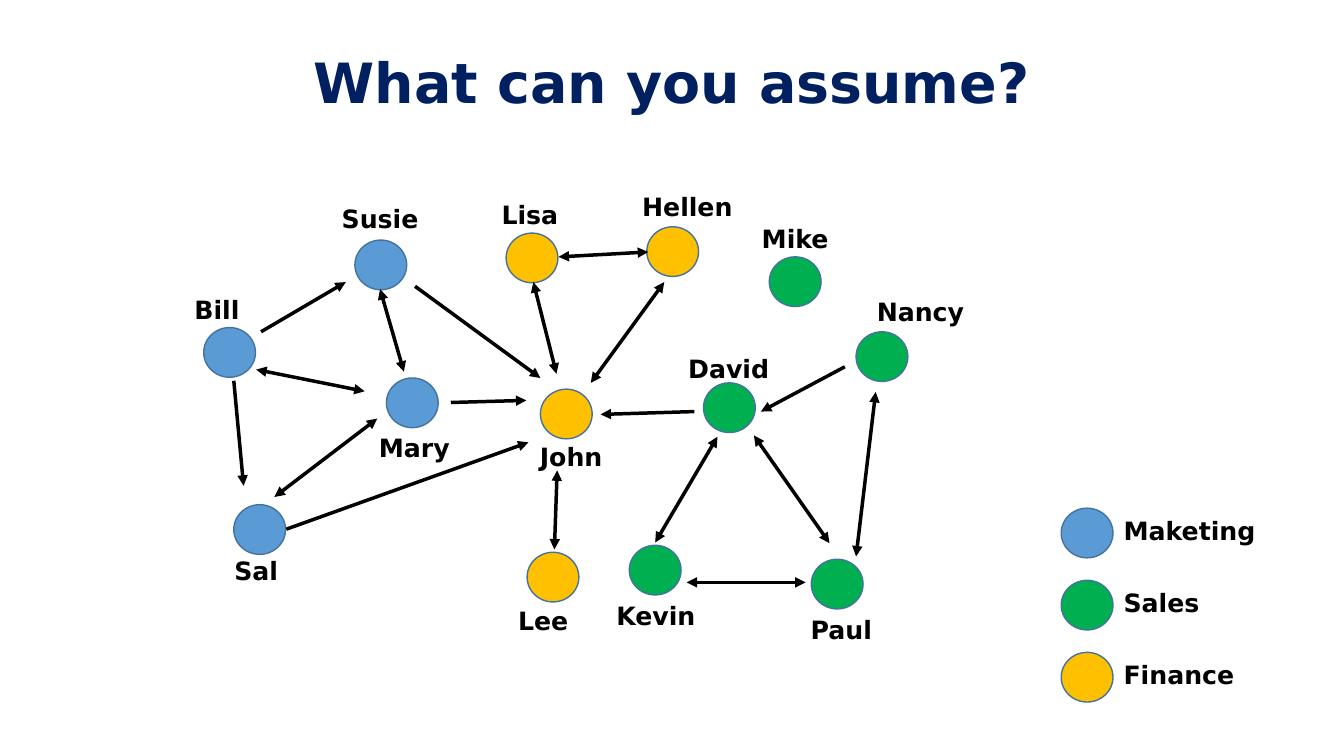
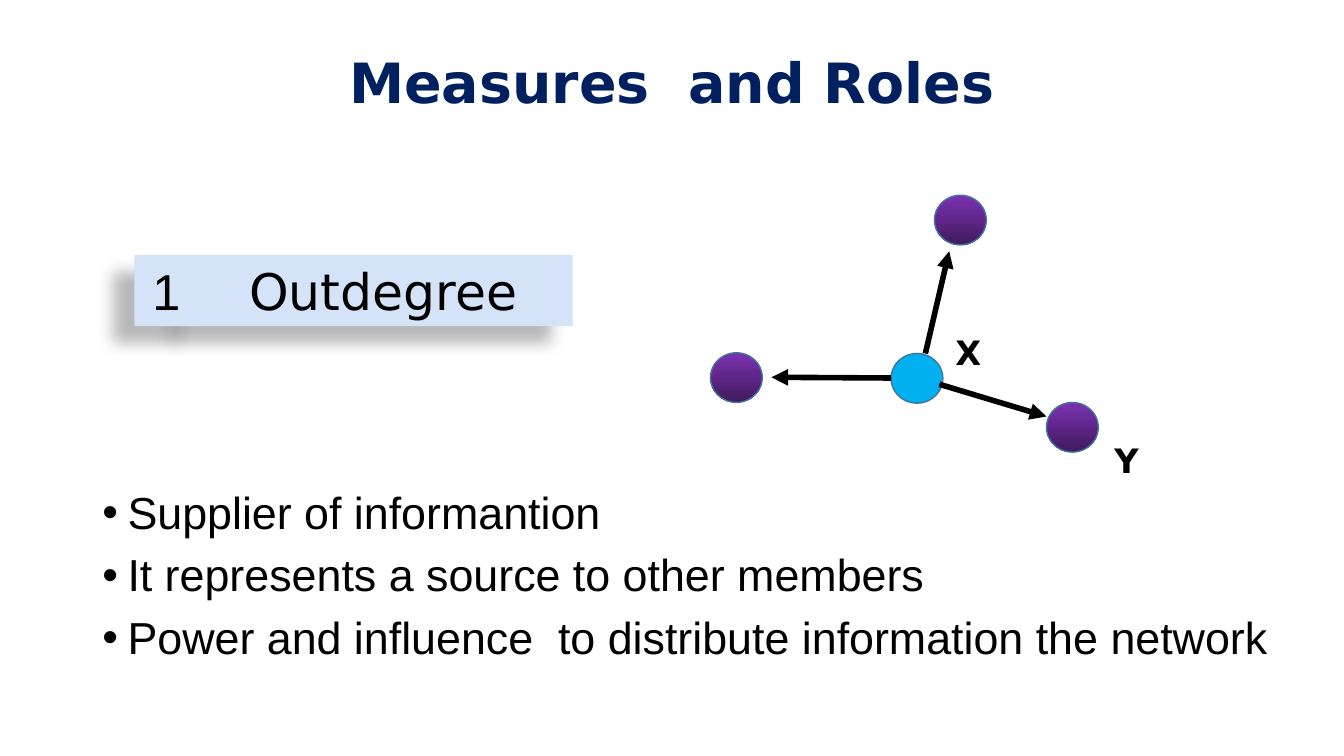
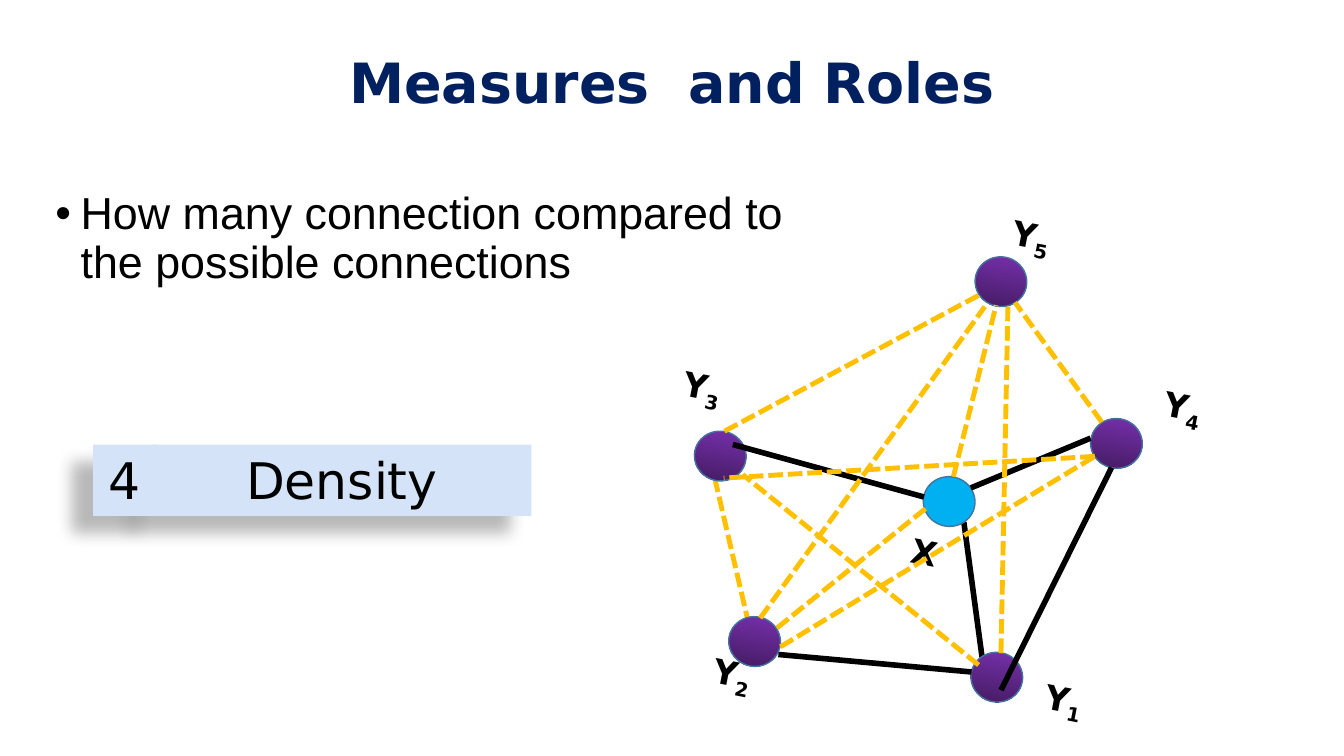
from lxml import etree
from pptx import Presentation
from pptx.dml.color import RGBColor
from pptx.enum.dml import MSO_LINE
from pptx.enum.shapes import MSO_CONNECTOR, MSO_SHAPE
from pptx.enum.text import MSO_ANCHOR, PP_ALIGN
from pptx.oxml.ns import qn
from pptx.util import Pt

OVAL, RECTANGLE = MSO_SHAPE.OVAL, MSO_SHAPE.RECTANGLE
STRAIGHT = MSO_CONNECTOR.STRAIGHT
DASHED = MSO_LINE.SQUARE_DOT
CENTER, LEFT = PP_ALIGN.CENTER, PP_ALIGN.LEFT
TOP = MSO_ANCHOR.TOP

NAVY = RGBColor(0x00, 0x20, 0x60)
BLACK = RGBColor(0x00, 0x00, 0x00)
BLUE = RGBColor(0x5B, 0x9B, 0xD5)
GREEN = RGBColor(0x00, 0xB0, 0x50)
GOLD = RGBColor(0xFF, 0xC0, 0x00)
CYAN = RGBColor(0x00, 0xB0, 0xF0)
PALE_BLUE = RGBColor(0xD4, 0xE3, 0xF7)
OUTLINE = RGBColor(0x43, 0x73, 0x9E)
PURPLE = (RGBColor(0x7B, 0x32, 0xB2), RGBColor(0x40, 0x1A, 0x5D))

SANS, ARIAL = "DejaVu Sans", "Arial"
TITLE_FONT = {"name": SANS, "size": Pt(39.6), "bold": True}
NAME_FONT = {"name": SANS, "size": Pt(18), "bold": True}
NODE_FONT = {"name": SANS, "size": Pt(24), "bold": True}
BAND_FONT = {"name": SANS, "size": Pt(36)}
BODY_FONT = {"name": ARIAL, "size": Pt(32)}

NODE_WIDTH, NODE_HEIGHT = 37, 35.5
NAME_SIZE = (108, 29)
NODE_LABEL_SIZE = (60.5, 36)
TILT = 11

# name: (colour, node position, label position)
PEOPLE = {
    "Susie": (BLUE, (253.5, 171.5), (217.5, 142)),
    "Mary": (BLUE, (276, 270), (242, 305.5)),
    "Bill": (BLUE, (145.5, 234), (101, 206.5)),
    "Sal": (BLUE, (167, 360.5), (129, 393)),
    "John": (GOLD, (386, 278), (354, 312)),
    "Lisa": (GOLD, (361.5, 166.5), (324.5, 139)),
    "Hellen": (GOLD, (462, 162), (437, 133)),
    "Lee": (GOLD, (376.5, 394.5), (334, 428.5)),
    "David": (GREEN, (502.5, 273.5), (466.5, 248.5)),
    "Nancy": (GREEN, (611.5, 237), (603.5, 208)),
    "Paul": (GREEN, (579.5, 399.5), (547, 435)),
    "Kevin": (GREEN, (449.5, 389.5), (414.5, 425)),
    "Mike": (GREEN, (549.5, 183.5), (514, 156)),
}
ONE_WAY = [
    (603.5, 262, 543.5, 294), (496, 294, 429, 296), (322, 287.5, 376, 286),
    (167, 272, 174, 347), (186.5, 237, 247, 201.5), (296.5, 204.5, 386, 270),
    (204.5, 378, 377.5, 316),
]
TWO_WAY = [
    (468, 387.5, 512.5, 312), (538.5, 311, 592.5, 388), (196, 355, 269.5, 299),
    (381, 201.5, 397.5, 267), (611.5, 397.5, 625.5, 280), (490.5, 416, 575.5, 416),
    (183, 264, 260.5, 279.5), (474.5, 201.5, 422, 273.5), (399, 183.5, 463, 180),
    (398, 336, 396, 392.5), (271.5, 206.5, 288.5, 265.5),
]
DEPARTMENTS = [("Maketing", BLUE), ("Sales", GREEN), ("Finance", GOLD)]

OUTGOING = [
    (671, 274.5, 747.5, 297.5), (636.5, 270, 551, 269.5), (661, 252.5, 678, 179.5),
]
OUTDEGREE_POINTS = [
    "Supplier of informantion",
    "It represents a source to other members",
    "Power and influence  to distribute information the network",
]

# (letter, subscript, fill, node position, label position)
DENSITY_NODES = [
    ("X", "", CYAN, (659.5, 340.5), (630, 376.5)),
    ("Y", "1", PURPLE, (693.5, 466), (730, 481)),
    ("Y", "2", PURPLE, (520.5, 440.5), (493, 463)),
    ("Y", "3", PURPLE, (496, 308), (471.5, 258)),
    ("Y", "4", PURPLE, (779, 299), (815, 272)),
    ("Y", "5", PURPLE, (696.5, 183.5), (706.5, 150)),
]
ACTUAL_BEHIND = (688.5, 373, 701.5, 469.5)
POSSIBLE_BEHIND = (535, 446.5, 511, 343.5)
ACTUAL_TIES = [
    (660, 355, 523.5, 317.5), (693.5, 348.5, 779, 313),
    (715, 493, 794, 334), (694, 480, 556, 467.5),
]
POSSIBLE_TIES = [
    (517.5, 308, 699, 211), (787, 301.5, 725, 216), (681, 340.5, 711.5, 218),
    (699, 475, 530.5, 339), (782, 326, 517, 341.5), (543, 441.5, 703.5, 219),
    (555, 448.5, 661.5, 363), (715, 466.5, 720, 217.5), (557.5, 462, 782, 326),
]


def set_attributes(target, values):
    for name, value in values.items():
        setattr(target, name, value)


def add_xml(parent, tag, **attributes):
    return etree.SubElement(parent, qn(tag), attributes)


def add_run(paragraph, text, font, color=BLACK):
    run = paragraph.add_run()
    run.text = text
    set_attributes(run.font, font)
    run.font.color.rgb = color
    return run


def add_text_box(slide, position, size, rotation=0, **frame_values):
    box = slide.shapes.add_textbox(*map(Pt, position + size))
    box.rotation = rotation
    set_attributes(box.text_frame, {"word_wrap": True, "vertical_anchor": TOP, **frame_values})
    return box.text_frame


def add_label(slide, text, position, size, font, align=CENTER, subscript="", rotation=0):
    paragraph = add_text_box(slide, position, size, rotation).paragraphs[0]
    paragraph.alignment = align
    add_run(paragraph, text, font)
    if subscript:
        run = add_run(paragraph, subscript, font)
        run.font._element.set("baseline", "-25000")


def add_title(slide, text):
    frame = add_text_box(slide, (66, 29), (828, 104.5), margin_top=Pt(10.5))
    paragraph = frame.paragraphs[0]
    set_attributes(paragraph, {"alignment": CENTER, "line_spacing": 0.9})
    add_run(paragraph, text, TITLE_FONT, NAVY)


def add_bullets(slide, texts, position, size):
    frame = add_text_box(slide, position, size)
    for index, text in enumerate(texts):
        paragraph = frame.add_paragraph() if index else frame.paragraphs[0]
        set_attributes(paragraph, {"line_spacing": 0.9, "space_before": Pt(10)})
        add_run(paragraph, text, BODY_FONT)
        properties = paragraph._p.get_or_add_pPr()
        set_indent = {"marL": Pt(18), "indent": Pt(-18)}
        for name, value in set_indent.items():
            properties.set(name, str(int(value)))
        add_xml(properties, "a:buFont", typeface=ARIAL)
        add_xml(properties, "a:buChar", char="•")


def add_node(slide, position, fill, rotation=0):
    """Draw a circle; a pair of colours makes a gradient from top to bottom."""
    node = slide.shapes.add_shape(OVAL, *map(Pt, position + (NODE_WIDTH, NODE_HEIGHT)))
    node.shadow.inherit = False
    node.rotation = rotation
    node.line.color.rgb = OUTLINE
    node.line.width = Pt(1)
    if isinstance(fill, RGBColor):
        node.fill.solid()
        node.fill.fore_color.rgb = fill
        return
    node.fill.gradient()
    node.fill.gradient_angle = 270
    for stop, color, place in zip(node.fill.gradient_stops, fill, (0, 1)):
        stop.color.rgb = color
        stop.position = place


def add_tie(slide, ends, width, color=BLACK, dash=None, arrows=()):
    """Draw a line; arrows names the ends ("a:headEnd", "a:tailEnd") with a triangle."""
    tie = slide.shapes.add_connector(STRAIGHT, *map(Pt, ends))
    tie.line.color.rgb = color
    tie.line.width = Pt(width)
    if dash:
        tie.line.dash_style = dash
    properties = tie._element.spPr
    for end in arrows:
        add_xml(properties.find(qn("a:ln")), end, type="triangle")
    add_xml(properties, "a:effectLst")


def add_band_part(slide, text, position, width, font):
    part = slide.shapes.add_shape(RECTANGLE, *map(Pt, position + (width, 51)))
    part.fill.solid()
    part.fill.fore_color.rgb = PALE_BLUE
    part.line.fill.background()
    part.shadow.inherit = False
    shadow = add_xml(
        part._element.spPr.find(qn("a:effectLst")), "a:outerShdw",
        blurRad=str(int(Pt(11.8))), dist=str(int(Pt(19.7))),
        dir=str(141 * 60000), algn="ctr", rotWithShape="0")
    color = add_xml(shadow, "a:srgbClr", val=str(BLACK))
    add_xml(color, "a:alpha", val="28000")
    set_attributes(part.text_frame, {"word_wrap": True, "vertical_anchor": TOP})
    paragraph = part.text_frame.paragraphs[0]
    paragraph.alignment = CENTER
    add_run(paragraph, text, font)


def add_band(slide, number, word, left, top, number_font=SANS):
    add_band_part(slide, word, (left + 42.5, top), 270.5, BAND_FONT)
    add_band_part(slide, number, (left, top), 45.5, {**BAND_FONT, "name": number_font})


def add_legend(slide):
    for row, (department, color) in enumerate(DEPARTMENTS):
        top = 363 + 51.5 * row
        add_node(slide, (758, top), color)
        add_label(slide, department, (795.5, top + 1.5), (133, 29), NAME_FONT, LEFT)


def build_people(slide):
    add_title(slide, "What can you assume?")
    add_legend(slide)
    for name, (color, position, label_position) in PEOPLE.items():
        add_node(slide, position, color)
        add_label(slide, name, label_position, NAME_SIZE, NAME_FONT)
    for ends in ONE_WAY:
        add_tie(slide, ends, 2.5, arrows=["a:tailEnd"])
    for ends in TWO_WAY:
        add_tie(slide, ends, 2.5, arrows=["a:headEnd", "a:tailEnd"])


def build_outdegree(slide):
    add_title(slide, "Measures  and Roles")
    add_band(slide, "1", "Outdegree", 96, 182, ARIAL)
    add_node(slide, (636.5, 252.5), CYAN)
    for ends in OUTGOING:
        add_tie(slide, ends, 4, arrows=["a:tailEnd"])
    for position in [(747.5, 287.5), (667.5, 139.5), (507.5, 252)]:
        add_node(slide, position, PURPLE)
    add_label(slide, "X", (661.5, 233.5), NODE_LABEL_SIZE, NODE_FONT)
    add_label(slide, "Y", (774.5, 310.5), NODE_LABEL_SIZE, NODE_FONT)
    add_bullets(slide, OUTDEGREE_POINTS, (66, 347), (862, 170.5))


def build_density(slide):
    add_title(slide, "Measures  and Roles")
    add_band(slide, "4", "Density", 66.5, 317.5)
    add_bullets(slide, ["How many connection compared to the possible connections"],
                (32.5, 133), (542, 386.5))
    add_tie(slide, POSSIBLE_BEHIND, 3.5, GOLD, DASHED)
    add_tie(slide, ACTUAL_BEHIND, 4)
    for letter, subscript, fill, position, label_position in DENSITY_NODES:
        add_node(slide, position, fill, TILT)
        add_label(slide, letter, label_position, NODE_LABEL_SIZE, NODE_FONT,
                  subscript=subscript, rotation=TILT)
    for ends in ACTUAL_TIES:
        add_tie(slide, ends, 4)
    for ends in POSSIBLE_TIES:
        add_tie(slide, ends, 3.5, GOLD, DASHED)


def main():
    presentation = Presentation()
    presentation.slide_width, presentation.slide_height = Pt(960), Pt(540)
    blank = presentation.slide_layouts[6]
    for build in (build_people, build_outdegree, build_density):
        build(presentation.slides.add_slide(blank))
    presentation.save("out.pptx")


if __name__ == "__main__":
    main()
